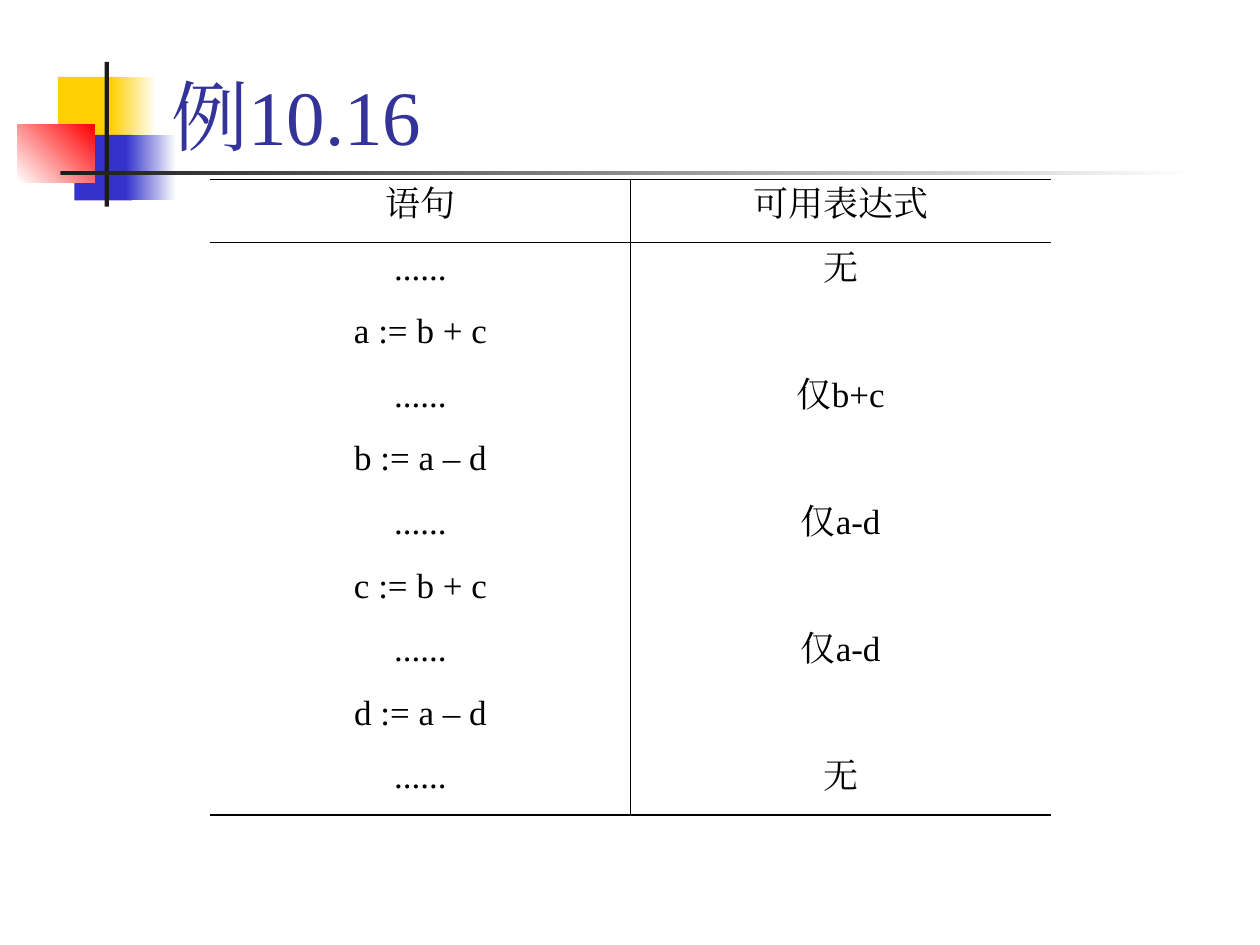
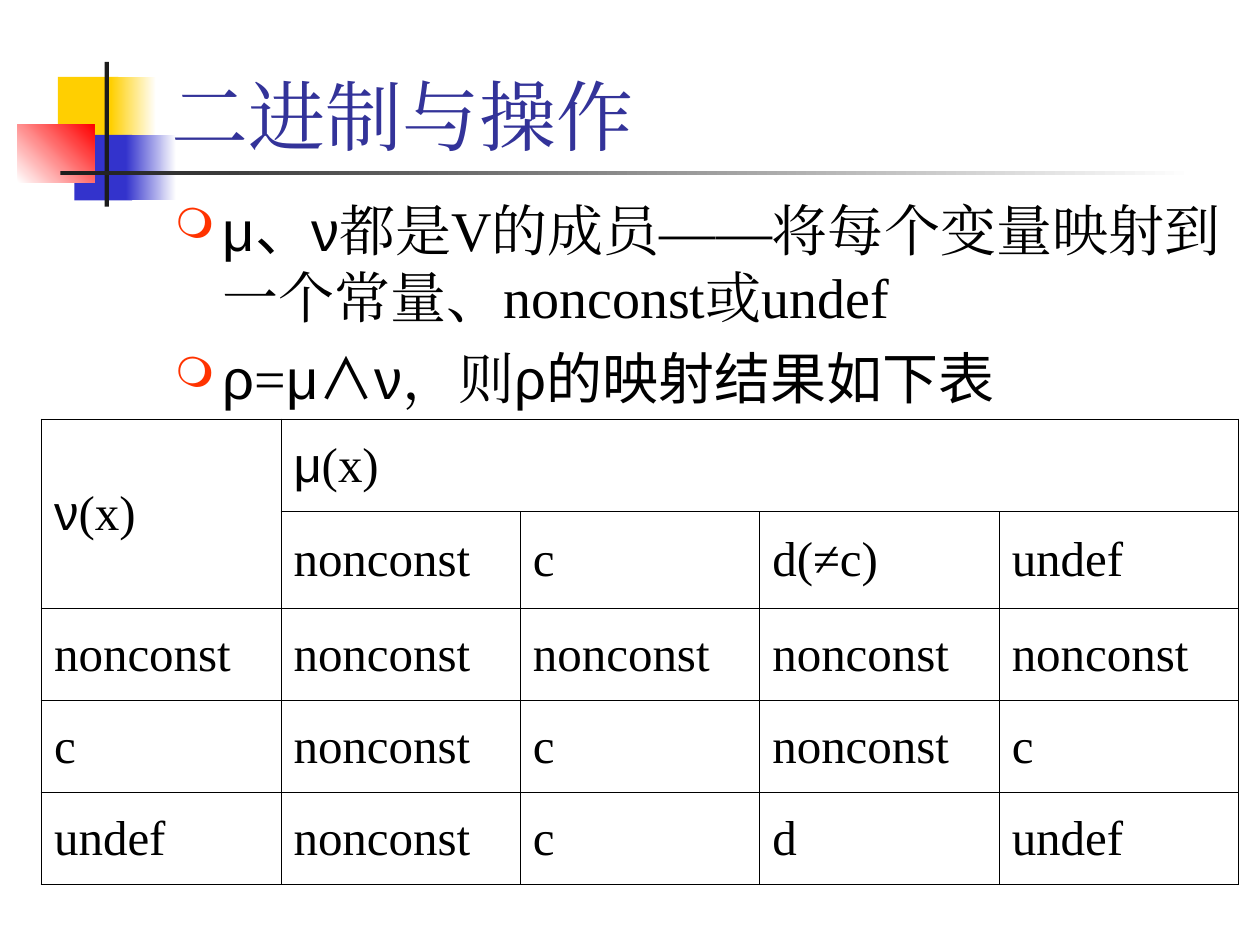
from lxml.etree import SubElement
from pptx import Presentation
from pptx.dml.color import RGBColor
from pptx.enum.shapes import MSO_SHAPE
from pptx.enum.text import MSO_ANCHOR, PP_ALIGN
from pptx.oxml.ns import qn
from pptx.util import Inches, Pt

COLUMNS, ROWS = 100, 75
SERIF, SANS, CJK = "Times New Roman", "Arial", "Noto Sans CJK SC"
INK, TITLE, BULLET = "000000", "333399", "FF3300"
YELLOW, BLUE, RED, BAR, WHITE = "FFCF01", "3333CC", "FF0000", "1C1C1C", "FFFFFF"
THIN, THICK, NO_LINE = 0.45, 1.08, 0
PLAIN_TABLE = "{2D5ABB26-0587-4C30-8999-92F81FD0307C}"


def color(code):
    return RGBColor.from_string(code)


class Deck:
    """Holds the shared style and the slide being filled, measured on a 100 by 75 grid."""

    def __init__(self):
        self.presentation = Presentation()
        self.presentation.slide_width = Inches(10)
        self.presentation.slide_height = Inches(7.5)
        self.column = self.presentation.slide_width / COLUMNS
        self.row = self.presentation.slide_height / ROWS

    def area(self, left, top, width, height):
        return (round(left * self.column), round(top * self.row),
                round(width * self.column), round(height * self.row))

    def new_slide(self, heading):
        self.slide = self.presentation.slides.add_slide(self.presentation.slide_layouts[6])
        self.block((4.6, 6.1, 4.8, 5.2), YELLOW)
        self.block((8.8, 6.1, 3.6, 5.2), YELLOW, WHITE)
        self.block((5.9, 10.7, 4.6, 5.2), BLUE)
        self.block((10, 10.7, 4, 5.2), BLUE, WHITE)
        self.block((1.4, 9.9, 6.1, 4.6), WHITE, RED, 45)
        self.block((8.3, 4.9, 0.35, 11.5), BAR)
        self.block((4.8, 13.6, 90, 0.3), BAR, WHITE)
        frame = self.frame((12.6, 0.8, 85.2, 12.5), MSO_ANCHOR.BOTTOM)
        self.fill_text(frame.paragraphs[0], heading, 44, TITLE)

    def block(self, place, start, end=None, angle=0):
        block = self.slide.shapes.add_shape(MSO_SHAPE.RECTANGLE, *self.area(*place))
        block.shadow.inherit = False
        block.line.fill.background()
        if end is None:
            block.fill.solid()
            block.fill.fore_color.rgb = color(start)
            return
        block.fill.gradient()
        block.fill.gradient_angle = angle
        for stop, shade in zip(block.fill.gradient_stops, (start, end)):
            stop.color.rgb = color(shade)

    def frame(self, place, anchor=MSO_ANCHOR.TOP):
        frame = self.slide.shapes.add_textbox(*self.area(*place)).text_frame
        frame.word_wrap = True
        frame.vertical_anchor = anchor
        return frame

    def set_face(self, font, face):
        font.name = face
        SubElement(font._element, qn("a:ea"), typeface=face)

    def fill_text(self, paragraph, content, size, shade=INK, before=0, align=PP_ALIGN.LEFT):
        paragraph.alignment = align
        paragraph.space_before = Pt(before)
        paragraph.font.size = Pt(size)
        paragraph.font.color.rgb = color(shade)
        if isinstance(content, str):
            self.set_face(paragraph.font, SERIF)
            content = [(content, None)] if content else []
        for words, face in content:
            run = paragraph.add_run()
            run.text = words
            if face:
                self.set_face(run.font, face)

    def bullets(self, place, points):
        frame = self.frame(place)
        for index, point in enumerate(points):
            paragraph = frame.add_paragraph() if index else frame.paragraphs[0]
            properties = paragraph._p.get_or_add_pPr()
            indent = Inches(0.38)
            properties.set("marL", str(indent))
            properties.set("indent", str(-indent))
            SubElement(SubElement(properties, qn("a:buClr")), qn("a:srgbClr"), val=BULLET)
            SubElement(properties, qn("a:buSzPct"), val="75000")
            SubElement(properties, qn("a:buChar"), char="❍")
            self.fill_text(paragraph, point, 32, before=8)

    def edge(self, cell, side, width):
        line = SubElement(cell._tc.get_or_add_tcPr(), qn(f"a:ln{side}"), w=str(Pt(width)))
        if width:
            SubElement(SubElement(line, qn("a:solidFill")), qn("a:srgbClr"), val=INK)
        else:
            SubElement(line, qn("a:noFill"))

    def table(self, place, entries, across, down, heights=None, merges=(),
              anchor=MSO_ANCHOR.TOP, **style):
        rows, columns = len(entries), len(entries[0])
        grid = self.slide.shapes.add_table(rows, columns, *self.area(*place)).table
        grid.first_row = grid.horz_banding = False
        grid._tbl.tblPr.find(qn("a:tableStyleId")).text = PLAIN_TABLE
        for row, height in zip(grid.rows, heights or ()):
            row.height = round(height * self.row)
        for first, last in merges:
            grid.cell(*first).merge(grid.cell(*last))
        for r, entry_row in enumerate(entries):
            for c, entry in enumerate(entry_row):
                cell = grid.cell(r, c)
                if cell.is_spanned:
                    continue
                self.edge(cell, "L", down[c])
                self.edge(cell, "R", down[c + cell.span_width])
                self.edge(cell, "T", across[r])
                self.edge(cell, "B", across[r + cell.span_height])
                cell.fill.background()
                cell.vertical_anchor = anchor
                self.fill_text(cell.text_frame.paragraphs[0], entry, **style)


def available_expressions(deck):
    deck.new_slide("例10.16")
    entries = [
        ("语句", "可用表达式"),
        ("......", "无"),
        ("a := b + c", ""),
        ("......", "仅b+c"),
        ("b := a – d", ""),
        ("......", "仅a-d"),
        ("c := b + c", ""),
        ("......", "仅a-d"),
        ("d := a – d", ""),
        ("......", "无"),
    ]
    deck.table((16.7, 14.2, 66.7, 50.5), entries,
               across=[THIN, THIN] + [NO_LINE] * 8 + [THICK],
               down=[NO_LINE, THIN, NO_LINE],
               size=20, before=5, align=PP_ALIGN.CENTER)


def meet_operation(deck):
    deck.new_slide("二进制与操作")
    deck.bullets((12.9, 15, 85, 51.7), [
        [("μ、ν", SANS),
         ("都是V的成员——将每个变量映射到一个常量、nonconst或undef", SERIF)],
        [("ρ", SANS), ("=", SERIF), ("μ", SANS), ("∧", CJK), ("ν", SANS),
         ("，则", SERIF), ("ρ的映射结果如下表", SANS)],
    ])
    entries = [
        ([("ν", SANS), ("(x)", SERIF)], [("μ", SANS), ("(x)", SERIF)], "", "", ""),
        ("", "nonconst", "c", "d(≠c)", "undef"),
        ("nonconst",) * 5,
        ("c", "nonconst", "c", "nonconst", "c"),
        ("undef", "nonconst", "c", "d", "undef"),
    ]
    lines = [THICK] + [THIN] * 4 + [THICK]
    deck.table((3.3, 33.3, 95, 36.9), entries, across=lines, down=lines,
               heights=[7.3, 7.7, 7.3, 7.3, 7.3],
               merges=[((0, 0), (1, 0)), ((0, 1), (0, 4))],
               anchor=MSO_ANCHOR.MIDDLE, size=28, before=7)


def main():
    deck = Deck()
    available_expressions(deck)
    meet_operation(deck)
    deck.presentation.save("out.pptx")


if __name__ == "__main__":
    main()
